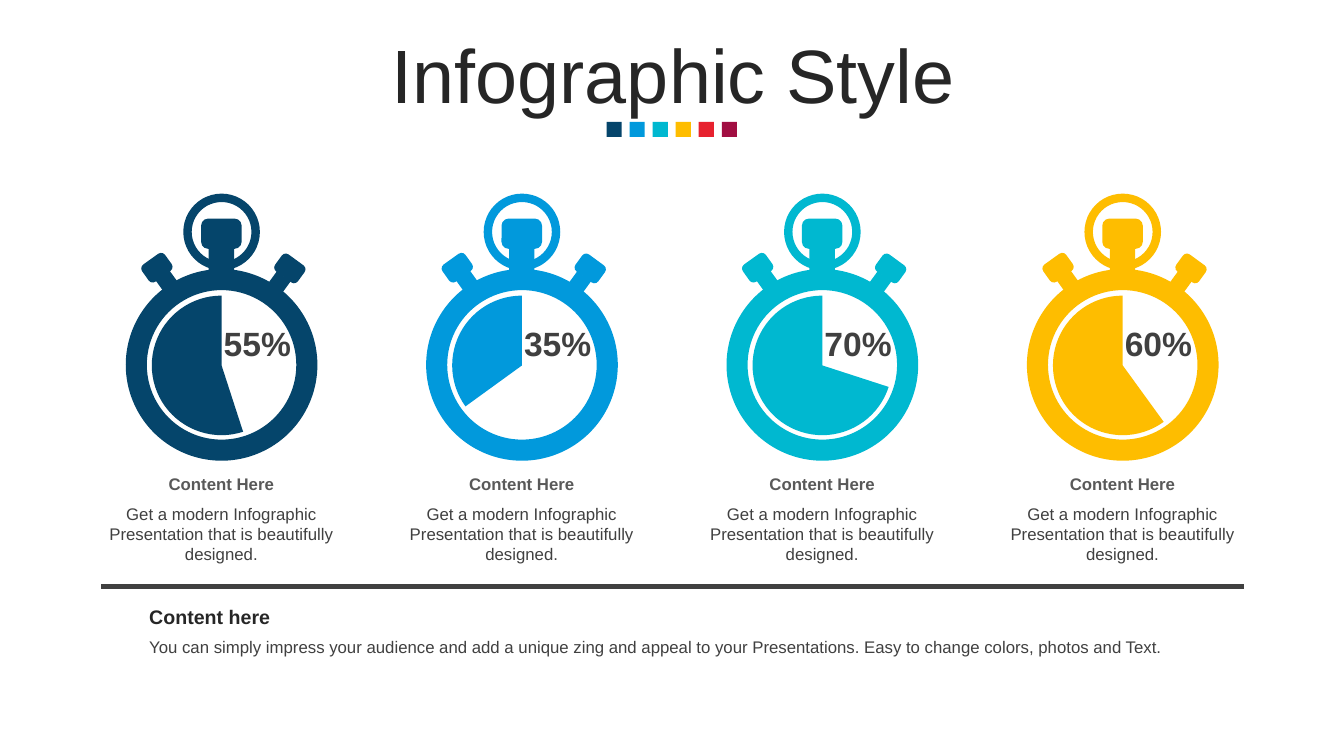
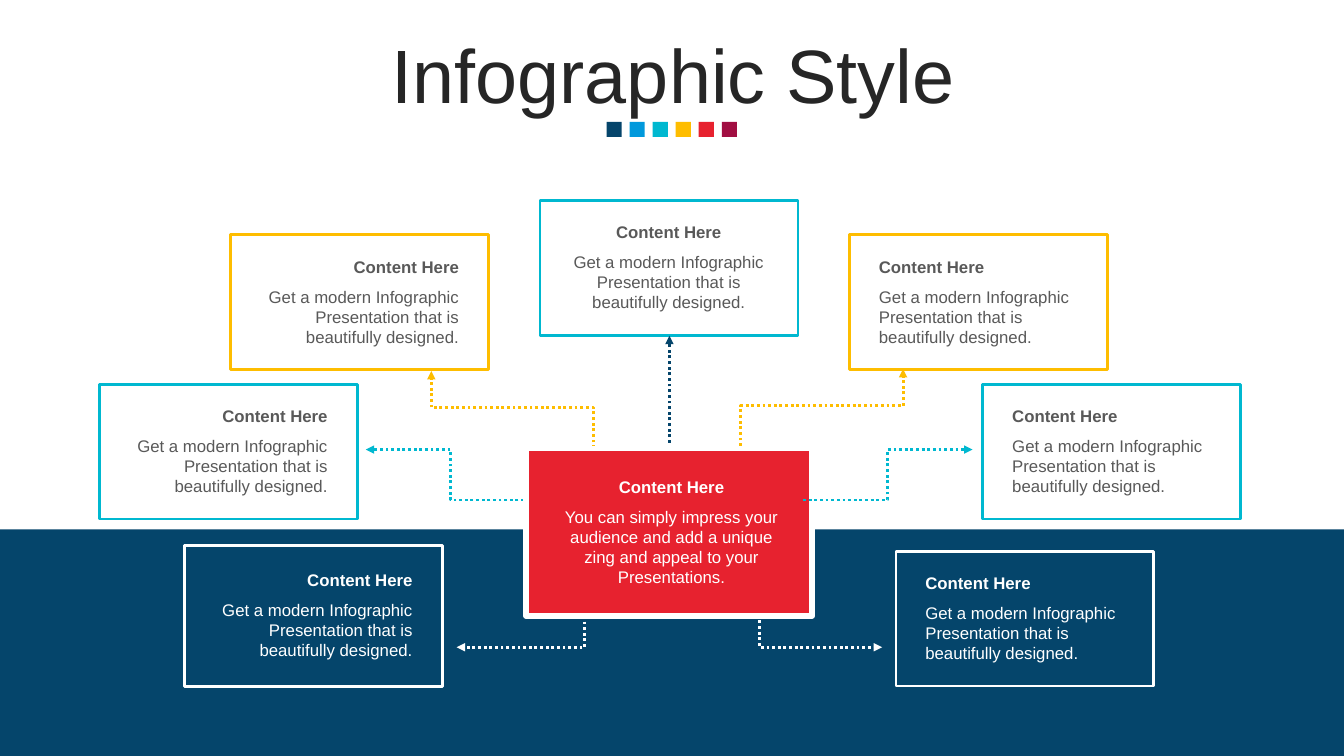
from dataclasses import dataclass
from typing import Optional

from lxml.etree import SubElement
from pptx import Presentation
from pptx.chart.data import CategoryChartData
from pptx.dml.color import RGBColor
from pptx.enum.chart import XL_CHART_TYPE as ChartType
from pptx.enum.dml import MSO_LINE
from pptx.enum.shapes import MSO_CONNECTOR as Link, MSO_SHAPE as Shape
from pptx.enum.text import MSO_ANCHOR as Anchor, PP_ALIGN as Align
from pptx.oxml import parse_xml
from pptx.oxml.ns import nsdecls, qn
from pptx.util import Cm, Pt

NAVY = RGBColor(0x05, 0x45, 0x6B)
BLUE = RGBColor(0x01, 0x99, 0xDC)
CYAN = RGBColor(0x00, 0xB8, 0xD0)
YELLOW = RGBColor(0xFE, 0xBD, 0x00)
RED = RGBColor(0xE7, 0x22, 0x2F)
WINE = RGBColor(0xA1, 0x0E, 0x42)
WHITE = RGBColor(0xFF, 0xFF, 0xFF)
BLACK = RGBColor(0x00, 0x00, 0x00)
INK = RGBColor(0x26, 0x26, 0x26)
DARK = RGBColor(0x40, 0x40, 0x40)
GRAY = RGBColor(0x59, 0x59, 0x59)

FONT = "Arial"
SLIDE_W, SLIDE_H = 33.87, 19.05
HEADING = "Content Here"
BODY = "Get a modern Infographic Presentation that is beautifully designed."
CENTER_BODY = ("You can simply impress your audience and add a unique zing "
               "and appeal to your Presentations.")
FOOT_BODY = ("You can simply impress your audience and add a unique zing and appeal "
             "to your Presentations. Easy to change colors, photos and Text.")


@dataclass(frozen=True)
class Part:
    """A piece of the stopwatch; x counts from the left of the dial."""
    kind: Shape
    x: float
    y: float
    w: float
    h: float
    rotation: float = 0
    adjust: Optional[float] = None


@dataclass(frozen=True)
class Watch:
    percent: int
    color: RGBColor


@dataclass(frozen=True)
class Card:
    x: float
    y: float
    border: RGBColor
    align: Align
    ink: RGBColor = GRAY
    fill: Optional[RGBColor] = WHITE
    h: float = 3.4


@dataclass(frozen=True)
class Arrow:
    """An arrow in cm; a rising one leaves its start vertically."""
    x1: float
    y1: float
    x2: float
    y2: float
    color: RGBColor
    bend: Optional[float] = 0.5
    rising: bool = False


STOPWATCH = [
    Part(Shape.DONUT, 0, 6.78, 4.83, 4.83, adjust=0.11),
    Part(Shape.RECTANGLE, 0.82, 6.91, 0.43, 0.36, 324.3),
    Part(Shape.ROUNDED_RECTANGLE, 0.43, 6.48, 0.71, 0.53, 324.3, 0.23),
    Part(Shape.RECTANGLE, 3.66, 6.93, 0.43, 0.36, 36),
    Part(Shape.ROUNDED_RECTANGLE, 3.78, 6.5, 0.71, 0.53, 36, 0.23),
    Part(Shape.RECTANGLE, 2.09, 6.27, 0.64, 0.76),
    Part(Shape.ROUNDED_RECTANGLE, 1.9, 5.51, 1.02, 0.76, adjust=0.23),
    Part(Shape.DONUT, 1.45, 4.88, 1.93, 1.93, adjust=0.11),
]
WATCHES = [Watch(55, NAVY), Watch(35, BLUE), Watch(70, CYAN), Watch(60, YELLOW)]
WATCH_LEFT, WATCH_PITCH = 3.17, 7.57

CARD_W = 6.5
CARDS = [
    Card(2.51, 9.68, CYAN, Align.RIGHT),
    Card(5.82, 5.92, YELLOW, Align.RIGHT),
    Card(13.61, 5.05, CYAN, Align.CENTER),
    Card(21.41, 5.92, YELLOW, Align.LEFT),
    Card(24.77, 9.68, CYAN, Align.LEFT),
    Card(4.65, 13.74, WHITE, Align.RIGHT, WHITE, None, 3.56),
    Card(22.58, 13.89, WHITE, Align.LEFT, WHITE, None),
]
ARROWS_BEHIND = [
    Arrow(18.67, 11.81, 22.76, 9.3, YELLOW, 0.63, rising=True),
    Arrow(14.96, 11.86, 10.87, 9.35, YELLOW, 0.63, rising=True),
    Arrow(16.87, 11.3, 16.87, 8.46, NAVY, None),
    Arrow(13.49, 12.6, 9.22, 11.33, CYAN),
    Arrow(14.71, 15.27, 11.51, 16.31, WHITE, -0.01),
    Arrow(19.2, 15.27, 22.23, 16.31, WHITE, -0.02),
]
ARROW_IN_FRONT = Arrow(20.24, 12.6, 24.51, 11.33, CYAN)


def add_text(s, text: str, x: float, y: float, w: float, h: float, *,
             size: float = 12, color: RGBColor = DARK, bold: bool = False,
             align: Align = Align.LEFT, anchor: Anchor = Anchor.TOP,
             line_spacing: Optional[float] = None) -> None:
    tf = s.shapes.add_textbox(Cm(x), Cm(y), Cm(w), Cm(h)).text_frame
    tf.word_wrap = True
    tf.vertical_anchor = anchor
    p = tf.paragraphs[0]
    p.alignment = align
    p.line_spacing = line_spacing
    r = p.add_run()
    r.text = text
    r.font.name, r.font.size, r.font.bold = FONT, Pt(size), bold
    r.font.color.rgb = color


def add_shape(s, kind: Shape, x: float, y: float, w: float, h: float, *,
              fill: Optional[RGBColor] = None, border: Optional[RGBColor] = None,
              weight: float = 2, rotation: float = 0,
              adjust: Optional[float] = None) -> None:
    sp = s.shapes.add_shape(kind, Cm(x), Cm(y), Cm(w), Cm(h))
    sp.shadow.inherit = False
    sp.rotation = rotation
    if adjust is not None:
        sp.adjustments[0] = adjust
    if fill is None:
        sp.fill.background()
    else:
        sp.fill.solid()
        sp.fill.fore_color.rgb = fill
    if border is None:
        sp.line.fill.background()
    else:
        sp.line.color.rgb = border
        sp.line.width = Pt(weight)


def add_caption(s, x: float, y: float, w: float, *, body: str = BODY,
                align: Align = Align.CENTER, heading_color: RGBColor = GRAY,
                body_color: RGBColor = GRAY) -> None:
    add_text(s, HEADING, x, y, w, 0.76, color=heading_color, bold=True, align=align)
    add_text(s, body, x, y + 0.75, w, 1.8, color=body_color, align=align)


def add_arrow(s, a: Arrow) -> None:
    x1, y1, x2, y2 = a.x1, a.y1, a.x2, a.y2
    turn = 0
    if a.rising:
        # The preset starts horizontally: lay it flat about its centre, then turn it.
        turn, sign = (90, 1) if x2 > x1 else (270, -1)
        cx, cy = (x1 + x2) / 2, (y1 + y2) / 2
        dx, dy = sign * (x2 - x1) / 2, sign * (y2 - y1) / 2
        x1, y1, x2, y2 = cx - dy, cy + dx, cx + dy, cy - dx
    kind = Link.STRAIGHT if a.bend is None else Link.ELBOW
    c = s.shapes.add_connector(kind, Cm(x1), Cm(y1), Cm(x2), Cm(y2))
    c.line.color.rgb = a.color
    c.line.width = Pt(2)
    c.line.dash_style = MSO_LINE.ROUND_DOT
    props = c._element.spPr
    SubElement(props.find(qn("a:ln")), qn("a:tailEnd"), type="triangle")
    SubElement(props, qn("a:effectLst"))
    if turn:
        props.find(qn("a:xfrm")).set("rot", str(turn * 60000))
    if a.bend is not None:
        guides = props.find(qn("a:prstGeom")).get_or_add_avLst()
        SubElement(guides, qn("a:gd"), name="adj1", fmla=f"val {round(a.bend * 100000)}")


def add_pie(s, watch: Watch, x: float, y: float) -> None:
    data = CategoryChartData()
    data.categories = ["1", "2"]
    data.add_series("Series 1", [100 - watch.percent, watch.percent])
    chart = s.shapes.add_chart(ChartType.PIE, Cm(x), Cm(y), Cm(4.27), Cm(4.24), data).chart
    chart.has_legend = chart.has_title = False
    chart.font.name, chart.font.size = FONT, Pt(10)
    chart.font.color.rgb = BLACK
    plot = chart.plots[0]
    plot.vary_by_categories = False
    rest, share = (plot.series[0].points[i].format for i in range(2))
    rest.fill.background()
    share.fill.solid()
    share.fill.fore_color.rgb = watch.color
    for part in (rest, share):
        part.line.fill.background()

    chart_el = chart._chartSpace.find(qn("c:chart"))
    chart_el.addnext(parse_xml(
        f'<c:spPr {nsdecls("c", "a")}><a:noFill/><a:ln><a:noFill/></a:ln></c:spPr>'))
    area = chart_el.find(qn("c:plotArea"))
    for old in area.findall(qn("c:layout")):
        area.remove(old)
    layout = parse_xml(f'<c:layout {nsdecls("c")}><c:manualLayout/></c:layout>')
    settings = {"layoutTarget": "inner", "xMode": "edge", "yMode": "edge",
                "x": "0.085", "y": "0.085", "w": "0.83", "h": "0.83"}
    for tag, value in settings.items():
        SubElement(layout[0], qn(f"c:{tag}"), val=value)
    area.insert(0, layout)


def add_titled_slide(prs):
    s = prs.slides.add_slide(prs.slide_layouts[6])
    for i, color in enumerate((NAVY, BLUE, CYAN, YELLOW, RED, WINE)):
        add_shape(s, Shape.RECTANGLE, 15.29 + i * 0.58, 3.07, 0.38, 0.38, fill=color)
    add_text(s, "Infographic Style", 0.89, 1, 32.16, 2, size=54, color=INK,
             align=Align.CENTER, anchor=Anchor.MIDDLE, line_spacing=0.9)
    return s


def build_stopwatch_slide(prs) -> None:
    s = add_titled_slide(prs)
    for i, watch in enumerate(WATCHES):
        left = WATCH_LEFT + i * WATCH_PITCH
        for part in STOPWATCH:
            add_shape(s, part.kind, left + part.x, part.y, part.w, part.h,
                      fill=watch.color, rotation=part.rotation, adjust=part.adjust)
        add_pie(s, watch, left + 0.28, 7.09)
        add_text(s, f"{watch.percent}%", left + 2.12, 8, 2.39, 1.27, size=24, bold=True,
                 align=Align.CENTER, anchor=Anchor.MIDDLE)
        add_caption(s, left - 0.84, 11.81, 6.5, body_color=DARK)
    add_shape(s, Shape.FLOWCHART_PROCESS, 2.54, 14.71, 28.8, 0.13, fill=DARK)
    add_text(s, "Content here", 3.51, 15.11, 5.33, 0.86, size=14, color=INK, bold=True,
             anchor=Anchor.MIDDLE)
    add_text(s, FOOT_BODY, 3.51, 15.93, 26.85, 0.76)


def build_hub_slide(prs) -> None:
    s = add_titled_slide(prs)
    add_shape(s, Shape.RECTANGLE, 0, 13.34, SLIDE_W, SLIDE_H - 13.34, fill=NAVY)
    for card in CARDS:
        add_shape(s, Shape.RECTANGLE, card.x, card.y, CARD_W, card.h,
                  fill=card.fill, border=card.border)
        add_caption(s, card.x + 0.49, card.y + (card.h - 2.56) / 2, 5.51,
                    align=card.align, heading_color=card.ink, body_color=card.ink)
    for arrow in ARROWS_BEHIND:
        add_arrow(s, arrow)
    add_shape(s, Shape.RECTANGLE, 13.26, 11.3, 7.21, 4.22, fill=RED, border=WHITE, weight=4)
    add_caption(s, 13.94, 11.89, 5.97, body=CENTER_BODY,
                heading_color=WHITE, body_color=WHITE)
    add_arrow(s, ARROW_IN_FRONT)


def main() -> None:
    prs = Presentation()
    prs.slide_width, prs.slide_height = Cm(SLIDE_W), Cm(SLIDE_H)
    build_stopwatch_slide(prs)
    build_hub_slide(prs)
    prs.save("out.pptx")


if __name__ == "__main__":
    main()
